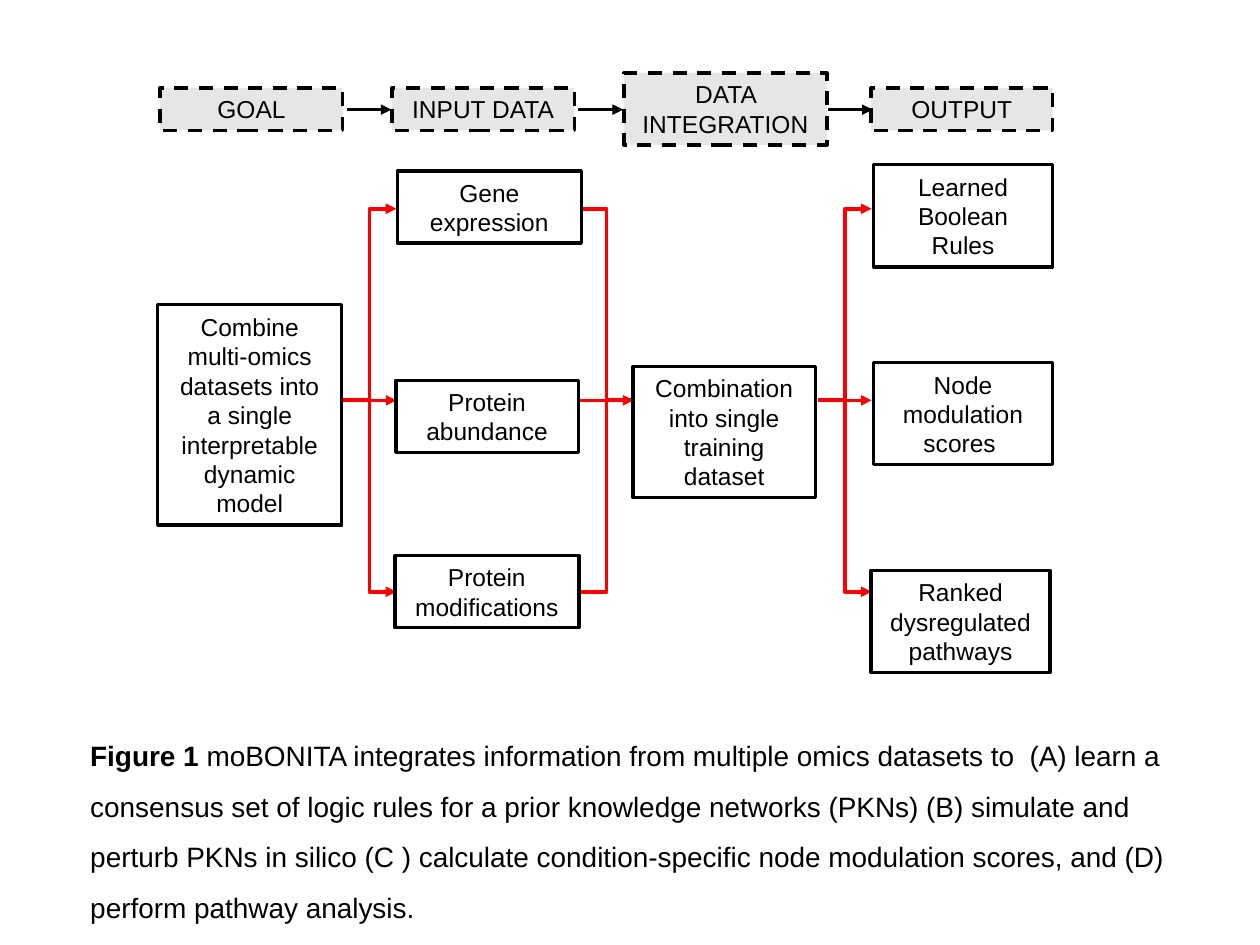
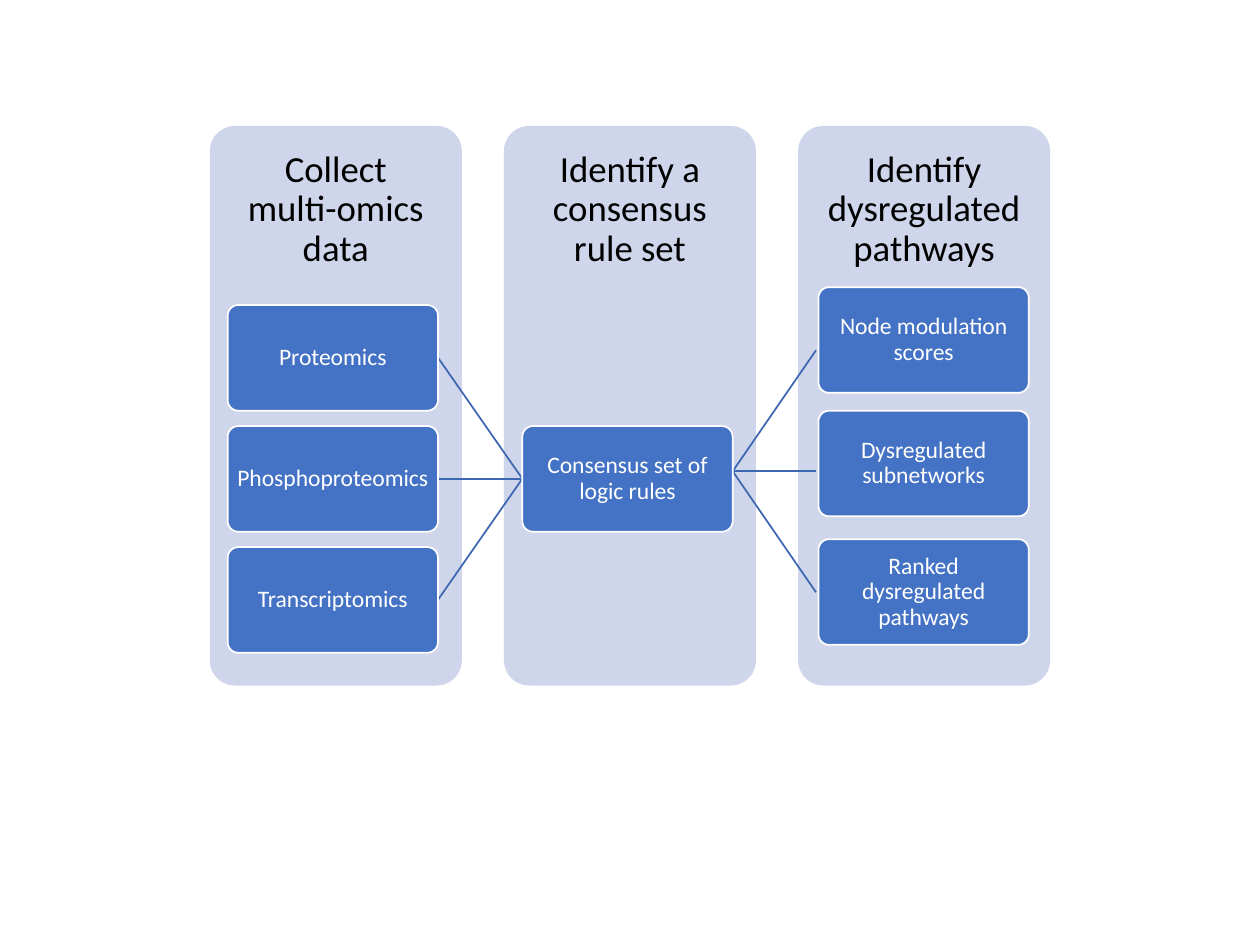
from dataclasses import dataclass

from lxml import etree
from pptx import Presentation
from pptx.dml.color import RGBColor
from pptx.enum import dml, shapes, text
from pptx.oxml import ns
from pptx.util import Cm, Pt


@dataclass(frozen=True)
class Theme:
    black: str = "000000"
    white: str = "FFFFFF"
    grey: str = "E7E6E6"
    red: str = "FF0000"
    blue: str = "4472C4"
    edge: str = "3E67B2"
    pale: str = "CFD5EA"
    sans: str = "Arial"
    round: str = "Calibri"
    label: float = 14
    legend: float = 16
    head: float = 21
    node: float = 13.5


T = Theme()
RECT = shapes.MSO_SHAPE.RECTANGLE
ROUND = shapes.MSO_SHAPE.ROUNDED_RECTANGLE
ELBOW = shapes.MSO_CONNECTOR.ELBOW
STRAIGHT = shapes.MSO_CONNECTOR.STRAIGHT


def write(shape, runs, font=T.sans, size=T.label, color=T.black, center=True,
          space=1.0, after=0, pads=(0.25, 0.13, 0.25, 0.13)):
    """Fill a shape with one paragraph of (words, bold) runs."""
    frame = shape.text_frame
    frame.word_wrap = True
    frame.vertical_anchor = (text.MSO_ANCHOR.MIDDLE if center
                             else text.MSO_ANCHOR.TOP)
    (frame.margin_left, frame.margin_top,
     frame.margin_right, frame.margin_bottom) = map(Cm, pads)
    para = frame.paragraphs[0]
    para.alignment = text.PP_ALIGN.CENTER if center else text.PP_ALIGN.LEFT
    para.line_spacing = space
    para.space_after = Pt(after)
    for words, bold in runs:
        run = para.add_run()
        run.text = words
        run.font.name, run.font.size, run.font.bold = font, Pt(size), bold
        run.font.color.rgb = RGBColor.from_string(color)


def block(slide, kind, box, words, fill=None, line=None, width=2, dash=False,
          **form):
    """Draw a shape with a centred label; box is in centimetres."""
    shape = slide.shapes.add_shape(kind, *map(Cm, box))
    shape.shadow.inherit = False
    if kind == ROUND:
        shape.adjustments[0] = 0.1
    if fill:
        shape.fill.solid()
        shape.fill.fore_color.rgb = RGBColor.from_string(fill)
    else:
        shape.fill.background()
    if line:
        shape.line.color.rgb = RGBColor.from_string(line)
        shape.line.width = Pt(width)
        if dash:
            shape.line.dash_style = dml.MSO_LINE.DASH
    else:
        shape.line.fill.background()
    write(shape, [(words, False)], **form)


def link(slide, start, end, color, width=2, kind=STRAIGHT, arrow=True):
    """Join two points, given in centimetres."""
    line = slide.shapes.add_connector(kind, *map(Cm, (*start, *end)))
    line.line.color.rgb = RGBColor.from_string(color)
    line.line.width = Pt(width)
    if arrow:
        etree.SubElement(line.line._get_or_add_ln(), ns.qn("a:tailEnd"),
                         type="triangle")
    etree.SubElement(line._element.spPr, ns.qn("a:effectLst"))


# Slide 1: header row of the flow chart
def stages(slide, left, top):
    for x, y, w, h, words in (
            (0.05, 0.3, 3.68, 0.86, "GOAL"),
            (4.72, 0.3, 3.68, 0.86, "INPUT DATA"),
            (9.4, 0, 4.09, 1.45, "DATA INTEGRATION"),
            (14.38, 0.3, 3.66, 0.86, "OUTPUT")):
        block(slide, RECT, (left + x, top + y, w, h), words, fill=T.grey,
              line=T.black, dash=True)
    for x in (3.81, 8.48, 13.51):
        link(slide, (left + x, top + 0.74), (left + x + 0.9, top + 0.74),
             T.black)


# Slide 1: red branches and the boxes they join
def flow(slide, left, top):
    mid, rise, reach = top + 6.6, 3.86, 1.08
    for x in (3.73, 13.31):
        hub, tip = left + x, left + x + reach
        for y in (mid - rise, mid + rise):
            link(slide, (hub, mid), (tip, y), T.red, kind=ELBOW)
        link(slide, (hub, mid), (tip, mid), T.red)
    hub, tail = left + 12.75 - 3.0 - 0.0, left + 8.51
    hub = tail + reach
    for y in (mid - rise, mid + rise):
        link(slide, (hub, mid), (tail, y), T.red, kind=ELBOW, arrow=False)
    link(slide, (tail, mid), (hub, mid), T.red)

    for x, y, w, h, words in (
            (0, 4.67, 3.71, 4.45, "Combine multi-omics datasets into a single "
                                  "interpretable dynamic model"),
            (4.83, 1.98, 3.71, 1.45, "Gene expression"),
            (4.8, 6.2, 3.68, 1.45, "Protein abundance"),
            (4.78, 9.73, 3.71, 1.45, "Protein modifications"),
            (9.58, 5.92, 3.68, 2.64,
             "Combination into single training dataset"),
            (14.43, 1.85, 3.61, 2.06, "Learned Boolean Rules"),
            (14.43, 5.84, 3.61, 2.06, "Node modulation scores "),
            (14.38, 10.03, 3.61, 2.06, "Ranked dysregulated pathways")):
        block(slide, RECT, (left + x, top + y, w, h), words, line=T.black)


# Slide 1: figure legend
def legend(slide, *box):
    shape = slide.shapes.add_textbox(*map(Cm, box))
    write(shape, [
        ("Figure 1 ", True),
        ("moBONITA integrates information from multiple omics datasets to  "
         "(A) learn a consensus set of logic rules for a prior knowledge "
         "networks (PKNs) (B) simulate and perturb PKNs in silico (C ) "
         "calculate condition-specific node modulation scores, and (D) "
         "perform pathway analysis.", False),
    ], size=T.legend, center=False, space=1.5, after=8)


# Slide 2: tall panels with their headings
def panels(slide, left, top):
    heads = ("Collect multi-omics data", "Identify a consensus rule set",
             "Identify dysregulated pathways")
    for i, words in enumerate(heads):
        block(slide, ROUND, (left + 5.93 * i, top, 5.08, 11.28), words,
              fill=T.pale, font=T.round, size=T.head, space=0.9,
              pads=(0.41, 0.41, 0.41, 8.3))


# Slide 2: nodes and the lines that fan out from the hub
def nodes(slide, left, top):
    step = 2.44
    for hub, tip, y in ((6.3, 4.6, 7.11), (10.54, 12.22, 6.96)):
        for i in (-1, 0, 1):
            link(slide, (left + hub, top + y),
                 (left + tip, top + y + i * step), T.edge, width=1,
                 arrow=False)
    for x, y, words in (
            (0.36, 3.61, "Proteomics"),
            (0.36, 3.61 + step, "Phosphoproteomics"),
            (0.36, 3.61 + 2 * step, "Transcriptomics"),
            (6.3, 3.61 + step, "Consensus set of logic rules"),
            (12.27, 3.25, "Node modulation scores"),
            (12.27, 5.74, "Dysregulated subnetworks"),
            (12.27, 8.33, "Ranked dysregulated pathways")):
        block(slide, ROUND, (left + x, top + y, 4.24, 2.13), words,
              fill=T.blue, line=T.white, width=1, font=T.round, size=T.node,
              color=T.white, space=0.9, pads=(0.08,) * 4)


def main():
    deck = Presentation()
    deck.slide_width, deck.slide_height = Cm(25.4), Cm(19.05)
    blank = deck.slide_layouts[6]

    first = deck.slides.add_slide(blank)
    legend(first, 1.57, 14.43, 22.23, 4.34)
    flow(first, 3.18, 1.47)
    stages(first, 3.18, 1.47)

    second = deck.slides.add_slide(blank)
    panels(second, 4.23, 2.54)
    nodes(second, 4.23, 2.54)

    deck.save("out.pptx")


if __name__ == "__main__":
    main()
